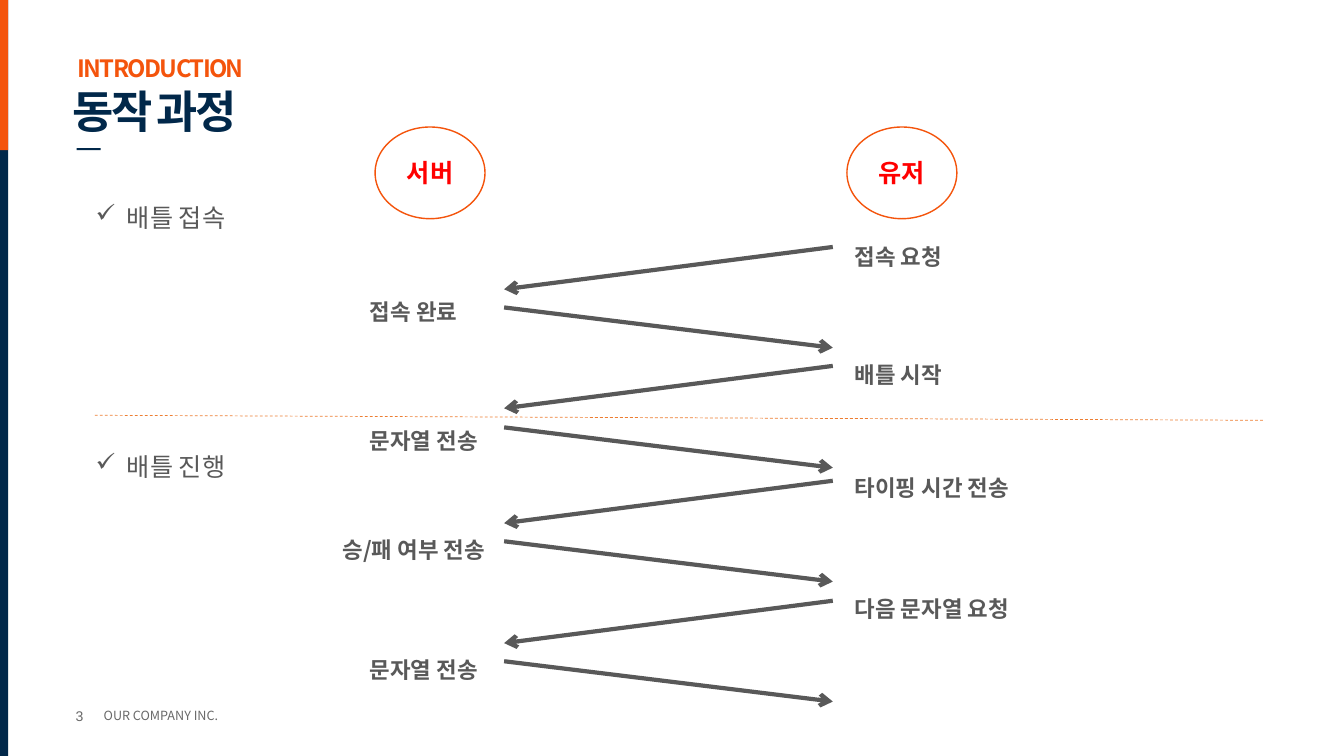
from pptx import Presentation
from pptx.dml.color import RGBColor
from pptx.enum.dml import MSO_LINE
from pptx.enum.shapes import MSO_CONNECTOR, MSO_SHAPE
from pptx.enum.text import MSO_ANCHOR, PP_ALIGN
from pptx.oxml.ns import qn
from pptx.util import Inches, Pt
from lxml.etree import SubElement

FONT = "Noto Sans CJK KR"
NAVY, ORANGE, GRAY, DIM = "01284A", "F4540C", "595959", "686868"
LEFT, RIGHT = 5, 8.26


def color(code):
    return RGBColor.from_string(code)


def write(shape, text, size=16, tint=GRAY, bold=False, face=FONT, align=PP_ALIGN.LEFT,
          anchor=MSO_ANCHOR.TOP, inset=True, space=None, track=0, mark=None):
    frame = shape.text_frame
    frame.word_wrap = True
    frame.vertical_anchor = anchor
    if not inset:
        frame.margin_left = frame.margin_right = 0
        frame.margin_top = frame.margin_bottom = 0
    para = frame.paragraphs[0]
    para.alignment = align
    if space:
        para.line_spacing = space
    if mark:
        props = para._p.get_or_add_pPr()
        props.set("marL", str(Inches(0.31)))
        props.set("indent", str(Inches(-0.31)))
        SubElement(props, qn("a:buChar")).set("char", mark)
    run = para.add_run()
    run.text = text
    font = run.font
    font.size, font.bold, font.name = Pt(size), bold, face
    font.color.rgb = color(tint)
    props = run._r.get_or_add_rPr()
    if track:
        props.set("spc", str(int(track * 100)))
    SubElement(props, qn("a:ea")).set("typeface", face)


def label(slide, text, x, y, w, h, **form):
    box = slide.shapes.add_textbox(Inches(x), Inches(y), Inches(w), Inches(h))
    write(box, text, **form)


def block(slide, kind, x, y, w, h, fill, edge=None):
    shape = slide.shapes.add_shape(kind, Inches(x), Inches(y), Inches(w), Inches(h))
    shape.shadow.inherit = False
    shape.fill.solid()
    shape.fill.fore_color.rgb = color(fill)
    if edge:
        shape.line.color.rgb = color(edge)
        shape.line.width = Pt(1)
    else:
        shape.line.fill.background()
    return shape


def line(slide, x1, y1, x2, y2, tint=GRAY, width=3, arrow=True):
    link = slide.shapes.add_connector(
        MSO_CONNECTOR.STRAIGHT, Inches(x1), Inches(y1), Inches(x2), Inches(y2))
    link.line.color.rgb = color(tint)
    link.line.width = Pt(width)
    if arrow:
        SubElement(link.line._ln, qn("a:tailEnd")).set("type", "arrow")
    else:
        link.line.dash_style = MSO_LINE.DASH
    SubElement(link._element.spPr, qn("a:effectLst"))


def frame(slide):
    rect = MSO_SHAPE.RECTANGLE
    block(slide, rect, 0, 0, 0.08, 7.5, NAVY)
    block(slide, rect, 0, 0, 0.08, 1.49, ORANGE)
    block(slide, rect, 0.76, 1.47, 0.24, 0.02, NAVY)
    mid = MSO_ANCHOR.MIDDLE
    label(slide, "3", 0.75, 7, 0.52, 0.2, size=10, tint=DIM, face="Arial",
          anchor=mid, inset=False)
    label(slide, "OUR COMPANY INC.", 0.93, 6.97, 1.89, 0.25, size=9, tint=DIM, anchor=mid)
    label(slide, "INTRODUCTION", 0.77, 0.57, 11.87, 0.26, size=17, tint=ORANGE,
          bold=True, inset=False, space=0.9, track=-1.2)
    label(slide, "동작 과정", 0.72, 0.89, 11.89, 0.48, size=32, tint=NAVY, bold=True,
          anchor=mid, inset=False, space=0.9, track=-2)


def main():
    deck = Presentation()
    deck.slide_width, deck.slide_height = Inches(13.33), Inches(7.5)
    slide = deck.slides.add_slide(deck.slide_layouts[6])
    frame(slide)

    for name, x in (("서버", 3.72), ("유저", 8.4)):
        oval = block(slide, MSO_SHAPE.OVAL, x, 1.26, 1.09, 0.91, "FFFFFF", ORANGE)
        write(oval, name, size=18, tint="FF0000", bold=True,
              align=PP_ALIGN.CENTER, anchor=MSO_ANCHOR.MIDDLE)

    for y in (2.45, 3.63, 4.77, 5.96):
        line(slide, RIGHT, y, LEFT, y + 0.42)
    for y in (3.05, 4.24, 5.37, 6.56):
        line(slide, LEFT, y, RIGHT, y + 0.4)

    steps = (
        ("접속 요청", 8.38, 2.36),
        ("접속 완료", 3.57, 2.91),
        ("배틀 시작", 8.38, 3.53),
        ("문자열 전송", 3.57, 4.19),
        ("타이핑 시간 전송", 8.38, 4.65),
        ("승/패 여부 전송", 3.3, 5.27),
        ("다음 문자열 요청", 8.38, 5.86),
        ("문자열 전송", 3.57, 6.46),
    )
    for text, x, y in steps:
        label(slide, text, x, y, 2.48, 0.37, bold=True)

    line(slide, 0.94, 4.12, 12.53, 4.17, tint="ED7D31", width=0.5, arrow=False)
    for text, y in (("배틀 접속", 1.96), ("배틀 진행", 4.43)):
        label(slide, text, 0.85, y, 1.7, 0.4, size=18, mark="✓")

    deck.save("out.pptx")


if __name__ == "__main__":
    main()
